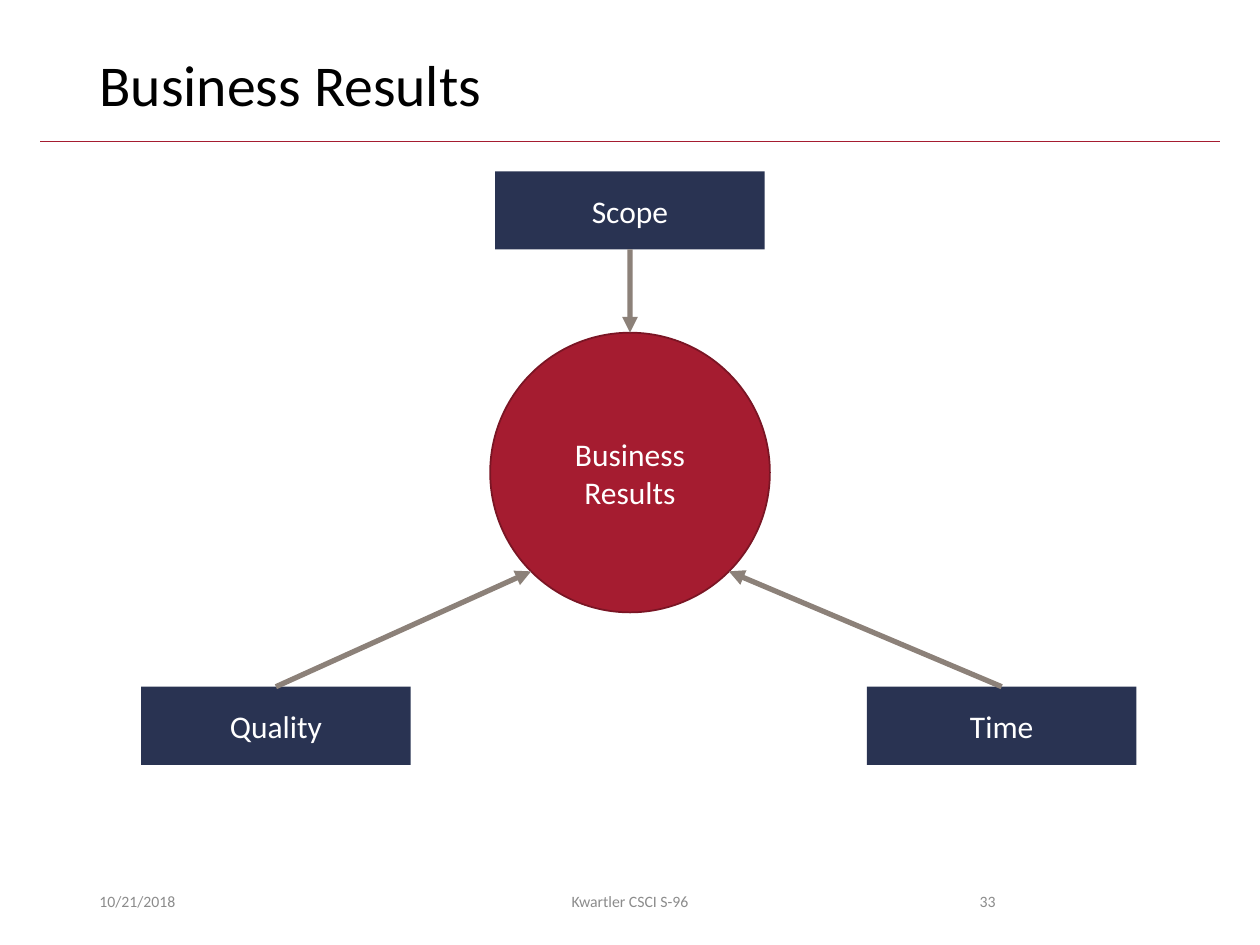
"""Build the Business Results slide: three drivers pointing at one outcome."""
from math import cos, radians, sin

from lxml import etree
from pptx import Presentation
from pptx.dml.color import RGBColor
from pptx.enum import shapes, text
from pptx.oxml import ns
from pptx.util import Inches, Pt

CRIMSON = RGBColor(0xA5, 0x1C, 0x30)
DARK_CRIMSON = RGBColor(0x7A, 0x15, 0x24)
NAVY = RGBColor(0x29, 0x33, 0x52)
TAUPE = RGBColor(0x8C, 0x81, 0x79)
GRAY = RGBColor(0x8C, 0x8C, 0x8C)
BLACK = RGBColor(0, 0, 0)
WHITE = RGBColor(0xFF, 0xFF, 0xFF)

LEFT, CENTER, RIGHT = text.PP_ALIGN.LEFT, text.PP_ALIGN.CENTER, text.PP_ALIGN.RIGHT
TOP, MIDDLE = text.MSO_ANCHOR.TOP, text.MSO_ANCHOR.MIDDLE

TITLE = "Business Results"
OUTCOME = "Business Results"
DRIVERS = [("Quality", 1.12, 5.45, 135), ("Time", 6.88, 5.45, 45), ("Scope", 3.93, 1.36, 270)]
FOOTER = [
    ("10/21/2018", 0.69, 2.25, LEFT),
    ("Kwartler CSCI S-96", 3.31, 3.38, CENTER),
    ("33", 7.06, 0.94, RIGHT),
]
DRIVER_WIDTH, DRIVER_HEIGHT = 2.14, 0.62
HUB_X, HUB_Y, HUB_RADIUS = 5, 3.75, 1.11
FOOTER_TOP, FOOTER_HEIGHT = 6.95, 0.4


def write(holder, words, size, color, align, anchor):
    frame = holder.text_frame
    frame.word_wrap = True
    frame.vertical_anchor = anchor
    paragraph = frame.paragraphs[0]
    paragraph.alignment = align
    run = paragraph.add_run()
    run.text = words
    run.font.name, run.font.size = "Calibri", Pt(size)
    run.font.color.rgb = color
    return paragraph


def add_label(slide, words, box, size, color, align, anchor):
    label = slide.shapes.add_textbox(*map(Inches, box))
    return write(label, words, size, color, align, anchor)


def add_node(slide, preset, words, box, fill, outline=None):
    node = slide.shapes.add_shape(preset, *map(Inches, box))
    node.shadow.inherit = False
    node.fill.solid()
    node.fill.fore_color.rgb = fill
    if outline is None:
        node.line.fill.background()
    else:
        node.line.color.rgb, node.line.width = outline, Pt(1)
    write(node, words, 18, WHITE, CENTER, MIDDLE)
    return node


def add_line(slide, start, end, color, width, arrow=False):
    line = slide.shapes.add_connector(
        shapes.MSO_CONNECTOR.STRAIGHT, *map(Inches, (*start, *end)))
    line.line.color.rgb, line.line.width = color, Pt(width)
    if arrow:
        etree.SubElement(line.line._get_or_add_ln(), ns.qn("a:tailEnd"), type="triangle")
    etree.SubElement(line._element.spPr, ns.qn("a:effectLst"))
    return line


def main():
    deck = Presentation()
    deck.slide_width, deck.slide_height = Inches(10), Inches(7.5)
    slide = deck.slides.add_slide(deck.slide_layouts[6])

    add_line(slide, (0.32, 1.12), (9.68, 1.12), CRIMSON, 0.5)
    heading = add_label(slide, TITLE, (0.69, 0.4, 8.62, 0.65), 33, BLACK, LEFT, TOP)
    heading.line_spacing = 0.9
    for words, left, width, align in FOOTER:
        add_label(slide, words, (left, FOOTER_TOP, width, FOOTER_HEIGHT), 9, GRAY, align, MIDDLE)

    hub_box = (HUB_X - HUB_RADIUS, HUB_Y - HUB_RADIUS, 2 * HUB_RADIUS, 2 * HUB_RADIUS)
    hub = add_node(slide, shapes.MSO_SHAPE.OVAL, OUTCOME, hub_box, CRIMSON, DARK_CRIMSON)
    drivers = [
        add_node(slide, shapes.MSO_SHAPE.RECTANGLE, words,
                 (left, top, DRIVER_WIDTH, DRIVER_HEIGHT), NAVY)
        for words, left, top, _ in DRIVERS
    ]
    for driver, (_, left, top, angle) in zip(drivers, DRIVERS):
        above_hub = top < HUB_Y
        start = (left + DRIVER_WIDTH / 2, top + DRIVER_HEIGHT * above_hub)
        end = (HUB_X + HUB_RADIUS * cos(radians(angle)),
               HUB_Y + HUB_RADIUS * sin(radians(angle)))
        arrow = add_line(slide, start, end, TAUPE, 3, arrow=True)
        arrow.begin_connect(driver, 2 if above_hub else 0)
        if above_hub:
            arrow.end_connect(hub, 0)

    deck.save("out.pptx")


if __name__ == "__main__":
    main()
